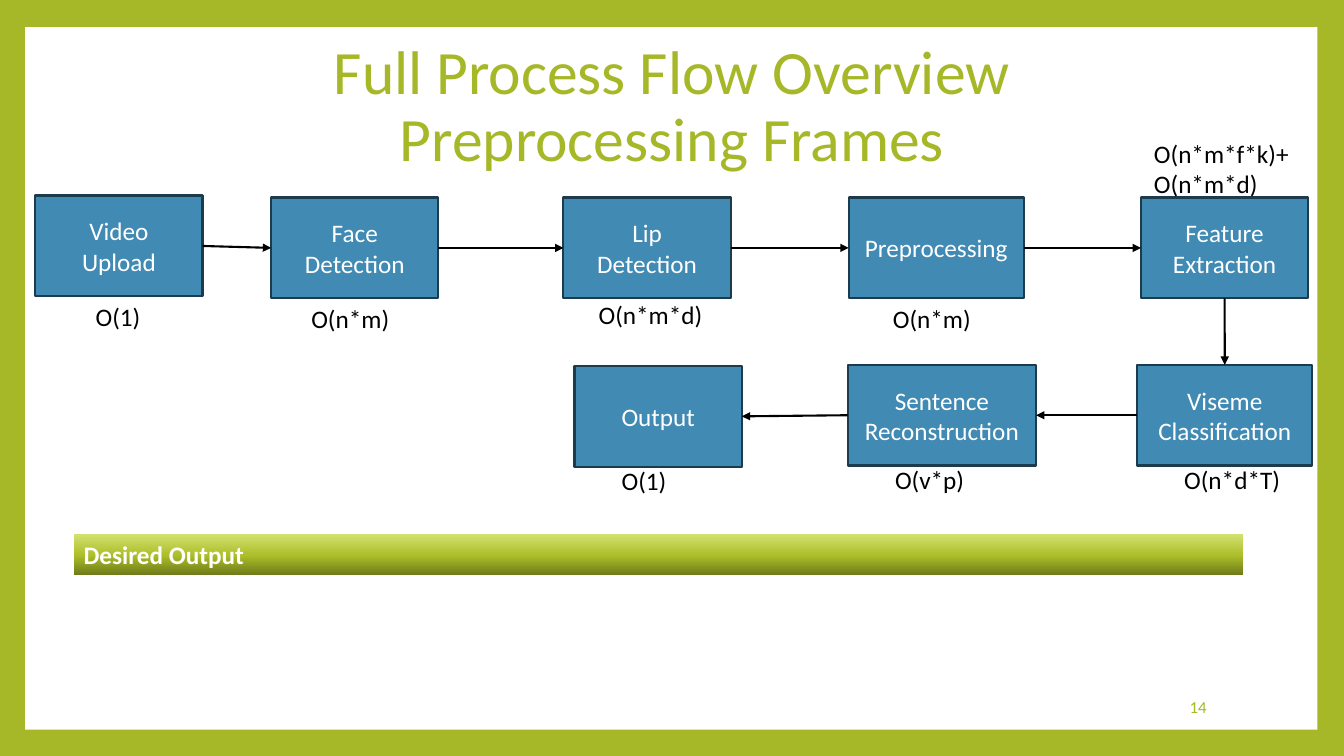
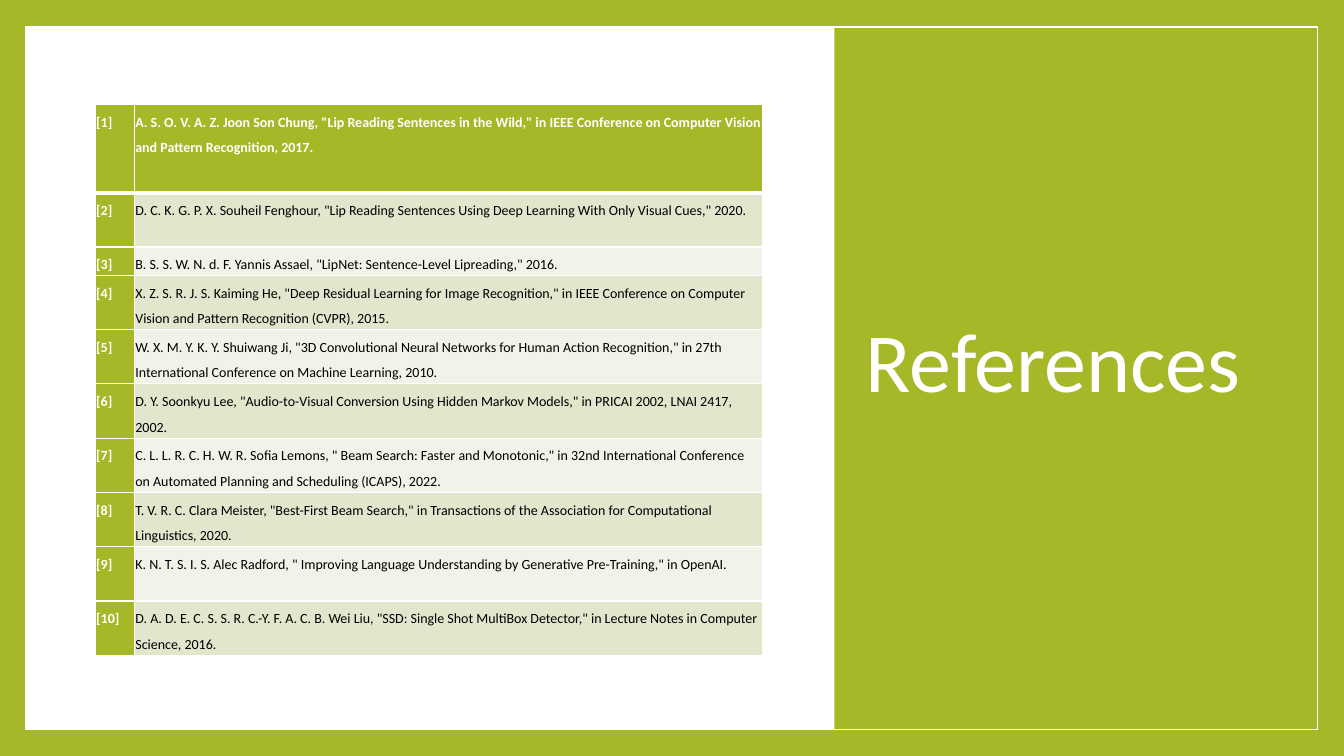
from copy import deepcopy
from itertools import pairwise

from lxml.etree import SubElement as Sub
from pptx import Presentation
from pptx.dml.color import RGBColor
from pptx.enum.shapes import MSO_CONNECTOR as Wire, MSO_SHAPE as Shape
from pptx.enum.text import MSO_ANCHOR as Anchor, MSO_AUTO_SIZE as Fit, PP_ALIGN as Align
from pptx.oxml.ns import qn
from pptx.util import Pt

GREEN, WHITE, BLACK = "A6B727", "FFFFFF", "000000"
BLUE, NAVY = "418AB3", "1C3C4E"
BANDS = "E1E6CD", "F1F3E8"
PANEL = 18, 19.4, 923, 501.8
TOP, LEFT, BOTTOM, RIGHT = range(4)

STEPS = [
    ("Video\vUpload", (25.2, 139.7, 119.5), "O(1)", (61.2, 211.7, 46.8)),
    ("Face\vDetection", (193.7, 141.1, 119.5), "O(n*m)", (215.3, 213.1, 72.7)),
    ("Lip\vDetection", (402.5, 141.1, 119.5), "O(n*m*d)", (420.5, 210.2, 92.2)),
    ("Preprocessing", (606.2, 141.1, 125.3), "O(n*m)", (630.7, 213.1, 72.7)),
    ("Feature\nExtraction", (815, 141.1, 119.5), "O(n*m*f*k)+\nO(n*m*d)", (817.2, 95, 115.9)),
    ("Viseme Classification", (812.2, 260.6, 125.3), "O(n*d*T)", (838.8, 328.3, 87.1)),
    ("Sentence\nReconstruction", (605.5, 260.6, 134.6), "O(v*p)", (632.2, 328.3, 66.2)),
    ("Output", (410.4, 261.4, 119.5), "O(1)", (437, 329, 46.8)),
]
SIDES = [(RIGHT, LEFT)] * 4 + [(BOTTOM, TOP)] + [(LEFT, RIGHT)] * 2

WORKS = [
    'A. S. O. V. A. Z. Joon Son Chung, "Lip Reading Sentences in the Wild," in IEEE Conference on Computer Vision and Pattern Recognition, 2017.',
    'D. C. K. G. P. X. Souheil Fenghour, "Lip Reading Sentences Using Deep Learning With Only Visual Cues," 2020.',
    'B. S. S. W. N. d. F. Yannis Assael, "LipNet: Sentence-Level Lipreading," 2016.',
    'X. Z. S. R. J. S. Kaiming He, "Deep Residual Learning for Image Recognition," in IEEE Conference on Computer Vision and Pattern Recognition (CVPR), 2015.',
    'W. X. M. Y. K. Y. Shuiwang Ji, "3D Convolutional Neural Networks for Human Action Recognition," in 27th International Conference on Machine Learning, 2010.',
    'D. Y. Soonkyu Lee, "Audio-to-Visual Conversion Using Hidden Markov Models," in PRICAI 2002, LNAI 2417, 2002.',
    'C. L. L. R. C. H. W. R. Sofia Lemons, " Beam Search: Faster and Monotonic," in 32nd International Conference on Automated Planning and Scheduling (ICAPS), 2022.',
    'T. V. R. C. Clara Meister, "Best-First Beam Search," in Transactions of the Association for Computational Linguistics, 2020.',
    'K. N. T. S. I. S. Alec Radford, " Improving Language Understanding by Generative Pre-Training," in OpenAI.',
    'D. A. D. E. C. S. S. R. C.-Y. F. A. C. B. Wei Liu, "SSD: Single Shot MultiBox Detector," in Lecture Notes in Computer Science, 2016.',
]


def rgb(code):
    return RGBColor.from_string(code)


def pts(*nums):
    return [Pt(num) for num in nums]


class Deck:
    """Hold the shared style and the slide being drawn."""

    font = "Calibri"

    def __init__(self):
        self.show = Presentation()
        self.show.slide_width, self.show.slide_height = pts(960, 540)
        back = self.show.slide_master.background.fill
        back.solid()
        back.fore_color.rgb = rgb(GREEN)

    def start(self):
        self.slide = self.show.slides.add_slide(self.show.slide_layouts[5])
        self.shapes = self.slide.shapes
        self.rect(PANEL, WHITE)

    def label(self, frame, text, size, color, align=Align.LEFT, bold=False, space=1, after=0):
        frame.text = text
        for para in frame.paragraphs:
            para.alignment, para.line_spacing = align, space
            para.space_after = Pt(after)
            for run in para.runs:
                run.font.name, run.font.size, run.font.bold = self.font, Pt(size), bold
                run.font.color.rgb = rgb(color)

    def title(self, text, place, size, color, align=Align.LEFT):
        head = self.shapes.title
        head.left, head.top, head.width, head.height = pts(*place)
        frame = head.text_frame
        frame.auto_size, frame.vertical_anchor = Fit.NONE, Anchor.MIDDLE
        self.label(frame, text, size, color, align, space=0.9)
        head.element.getparent().append(head.element)

    def rect(self, place, fill=None, edge=None, width=1):
        rect = self.shapes.add_shape(Shape.RECTANGLE, *pts(*place))
        rect.shadow.inherit = False
        if fill:
            rect.fill.solid()
            rect.fill.fore_color.rgb = rgb(fill)
        else:
            rect.fill.background()
        if edge:
            rect.line.color.rgb, rect.line.width = rgb(edge), Pt(width)
        else:
            rect.line.fill.background()
        return rect

    def step(self, text, place):
        box = self.rect((*place, 72), BLUE, NAVY, 1.5)
        self.label(box.text_frame, text, 18, WHITE, Align.CENTER)
        return box

    def note(self, text, place):
        tall = 29.1 + 21.8 * text.count("\n")
        frame = self.shapes.add_textbox(*pts(*place, tall)).text_frame
        frame.word_wrap, frame.auto_size = False, Fit.SHAPE_TO_FIT_TEXT
        self.label(frame, text, 18, BLACK)

    def arrow(self, start, end, sides):
        wire = self.shapes.add_connector(Wire.STRAIGHT, 0, 0, 0, 0)
        wire.begin_connect(start, sides[0])
        wire.end_connect(end, sides[1])
        wire.line.color.rgb, wire.line.width = rgb(BLACK), Pt(1.5)
        props = wire.element.spPr
        Sub(props.find(qn("a:ln")), qn("a:tailEnd"), type="triangle")
        Sub(props, qn("a:effectLst"))

    def bar(self, text, place, stops):
        bar = self.rect(place, GREEN)
        bar.fill.gradient()
        bar.fill.gradient_angle = 90
        marks = bar.element.find(".//" + qn("a:gsLst"))
        marks.append(deepcopy(marks[0]))
        for mark, (spot, color) in zip(bar.fill.gradient_stops, stops):
            mark.position, mark.color.rgb = spot, rgb(color)
        bar.text_frame.vertical_anchor = Anchor.TOP
        self.label(bar.text_frame, text, 18, WHITE, bold=True)

    def number(self, text):
        frame = self.shapes.add_textbox(*pts(734.4, 490.3, 134.6, 28.8)).text_frame
        frame.word_wrap, frame.vertical_anchor = True, Anchor.MIDDLE
        self.label(frame, text, 12, GREEN, Align.RIGHT)

    def cell(self, cell, text, fill, color, bold, edges):
        cell.margin_left = cell.margin_right = cell.margin_top = cell.margin_bottom = Pt(0.72)
        self.label(cell.text_frame, text, 10, color, bold=bold, space=1.5, after=6)
        props = cell._tc.get_or_add_tcPr()
        for side, width in zip("LRTB", edges):
            line = Sub(props, qn(f"a:ln{side}"), w=str(Pt(width)))
            Sub(Sub(line, qn("a:solidFill")), qn("a:srgbClr"), val=WHITE)
        cell.fill.solid()
        cell.fill.fore_color.rgb = rgb(fill)

    def table(self, items, place, cols, rows):
        grid = self.shapes.add_table(len(items), len(cols), *pts(*place)).table
        for col, width in zip(grid.columns, cols):
            col.width = Pt(width)
        for i, (item, tall) in enumerate(zip(items, rows)):
            grid.rows[i].height = Pt(tall)
            head = i == 0
            edges = 1, 1, 3 if i == 1 else 1, 3 if head else 1
            fill = GREEN if head else BANDS[(i - 1) % 2]
            self.cell(grid.cell(i, 0), f"[{i + 1}]", GREEN, WHITE, True, edges)
            self.cell(grid.cell(i, 1), item, fill, WHITE if head else BLACK, head, edges)


def main():
    deck = Deck()

    deck.start()
    deck.title("Full Process Flow Overview\vPreprocessing Frames",
               (91.4, 20.9, 777.6, 112.3), 44, GREEN, Align.CENTER)
    boxes = [deck.step(name, place) for name, place, *_ in STEPS]
    for pair, sides in zip(pairwise(boxes), SIDES):
        deck.arrow(*pair, sides)
    deck.bar("Desired Output", (52.6, 381.6, 835.2, 29.1),
             [(0, "6F7B1A"), (0.48, "ACBE29"), (1, "D3E171")])
    for *_, cost, place in STEPS:
        deck.note(cost, place)
    deck.number("14")

    deck.start()
    deck.rect((596, 0, 364, 540), GREEN)
    deck.title("References", (611.3, 48.2, 298.8, 425.5), 60, WHITE)
    deck.rect(PANEL, edge=WHITE)
    deck.table(WORKS, (68, 74.5, 476.6, 394.6), (28, 448.6),
               [63.2, 38.8, 20.2] + [38.8] * 7)

    deck.show.save("out.pptx")


if __name__ == "__main__":
    main()
